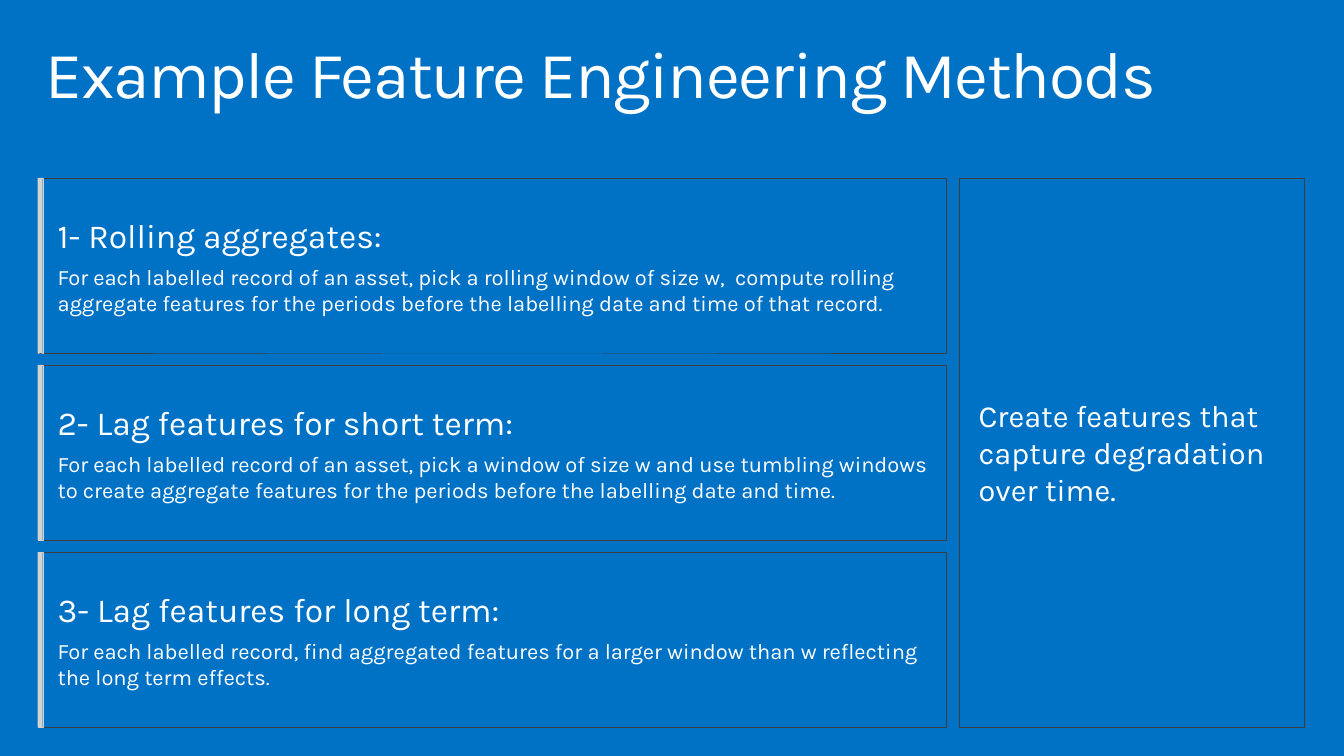
from pptx import Presentation
from pptx.dml.color import RGBColor
from pptx.enum.shapes import MSO_SHAPE
from pptx.enum.text import MSO_ANCHOR, PP_ALIGN
from pptx.util import Cm, Pt

RECT = MSO_SHAPE.RECTANGLE
MIDDLE = MSO_ANCHOR.MIDDLE
TOP = MSO_ANCHOR.TOP
LEFT = PP_ALIGN.LEFT
FONT = "Karla"
COLORS = {"back": "0072C6", "text": "FFFFFF", "edge": "3C3C3C", "bar": "D2D2D2"}
METHODS = [
    ("1- Rolling aggregates:",
     "For each labelled record of an asset, pick a rolling window of size w,  "
     "compute rolling aggregate features for the periods before the labelling "
     "date and time of that record."),
    ("2- Lag features for short term:",
     "For each labelled record of an asset, pick a window of size w and use "
     "tumbling windows to create aggregate features for the periods before the "
     "labelling date and time."),
    ("3- Lag features for long term:",
     "For each labelled record, find aggregated features for a larger window "
     "than w reflecting the long term effects."),
]
GOAL = "Create features that capture degradation over time."
SIDE, START, STEP = 0.97, 4.57, 4.81
WIDE, HIGH = 23.34, 4.5


def color(name):
    """Return the named colour."""
    return RGBColor.from_string(COLORS[name])


def write(frame, lines, sizes, insets, anchor):
    """Fill a text frame with one paragraph per line."""
    frame.word_wrap = True
    frame.vertical_anchor = anchor
    frame.margin_left, frame.margin_top, frame.margin_right, frame.margin_bottom = map(Cm, insets)
    frame.text = "\n".join(lines)
    for para, size in zip(frame.paragraphs, sizes):
        para.alignment = LEFT
        font = para.runs[0].font
        font.name = FONT
        font.size = Pt(size)
        font.color.rgb = color("text")


def add_rect(slide, place, edge, fill=None):
    """Add a thin-edged rectangle, hollow unless a fill is named."""
    rect = slide.shapes.add_shape(RECT, *map(Cm, place))
    rect.shadow.inherit = False
    rect.line.color.rgb = color(edge)
    rect.line.width = Pt(0.25)
    if fill:
        rect.fill.solid()
        rect.fill.fore_color.rgb = color(fill)
    else:
        rect.fill.background()
    return rect


def add_panel(slide, place, lines, sizes):
    """Add an outlined panel of text."""
    frame = add_rect(slide, place, "edge").text_frame
    write(frame, lines, sizes, (0.51, 0.13, 0.25, 0.13), MIDDLE)
    for para in frame.paragraphs:
        para.space_before = Pt(6.1)


def add_title(slide, text):
    """Add the slide heading."""
    frame = slide.shapes.add_textbox(Cm(0.76), Cm(0.81), Cm(33.02), Cm(2.54)).text_frame
    write(frame, [text], [48], (0.41, 0.25, 0.41, 0.25), TOP)
    para = frame.paragraphs[0]
    para.line_spacing = 0.9
    para.runs[0].font._element.set("spc", "-100")


def main():
    """Build and save the slide."""
    deck = Presentation()
    deck.slide_width, deck.slide_height = Cm(34.54), Cm(19.43)
    slide = deck.slides.add_slide(deck.slide_layouts[6])
    slide.background.fill.solid()
    slide.background.fill.fore_color.rgb = color("back")
    add_title(slide, "Example Feature Engineering Methods")
    for row, lines in enumerate(METHODS):
        top = START + row * STEP
        add_panel(slide, (SIDE, top, WIDE, HIGH), lines, (24.5, 16))
        add_rect(slide, (SIDE, top, 0.13, HIGH), "bar", "bar")
    add_panel(slide, (24.64, START, 8.89, 2 * STEP + HIGH), [GOAL], [22.4])
    deck.save("out.pptx")


if __name__ == "__main__":
    main()
